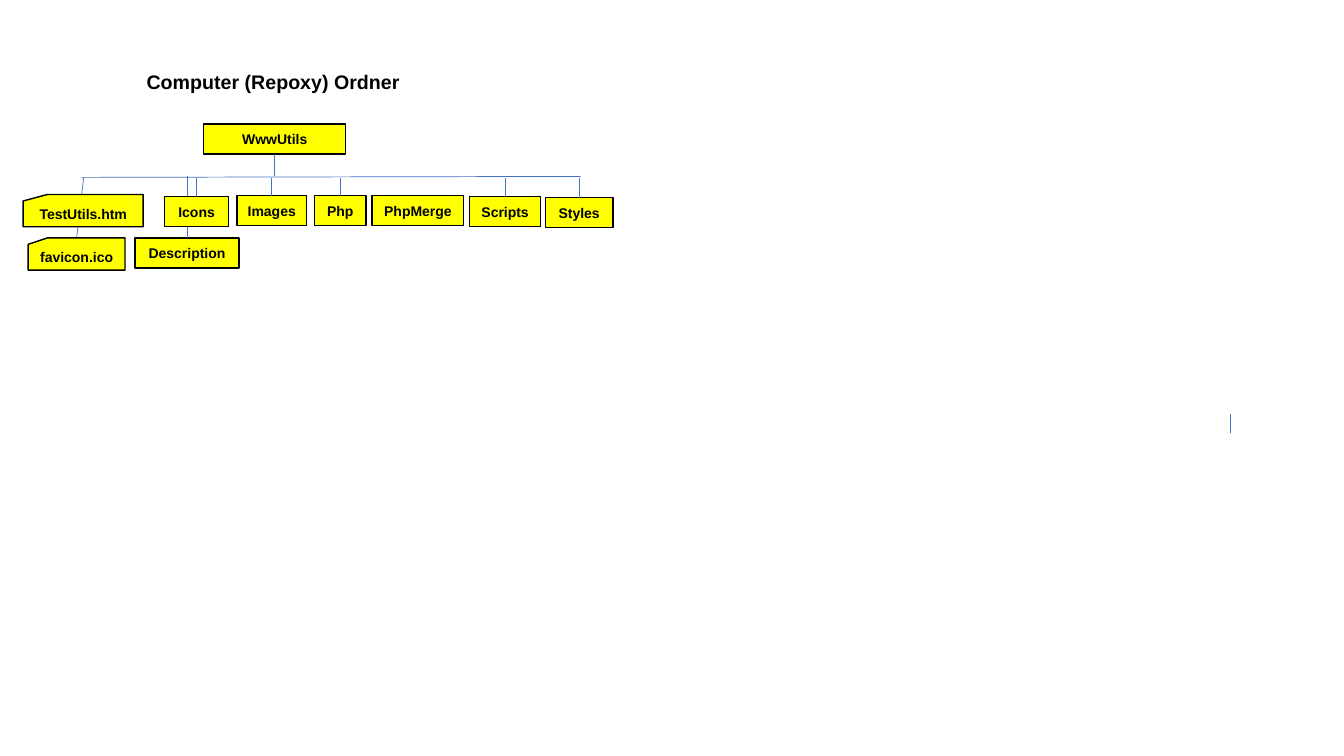
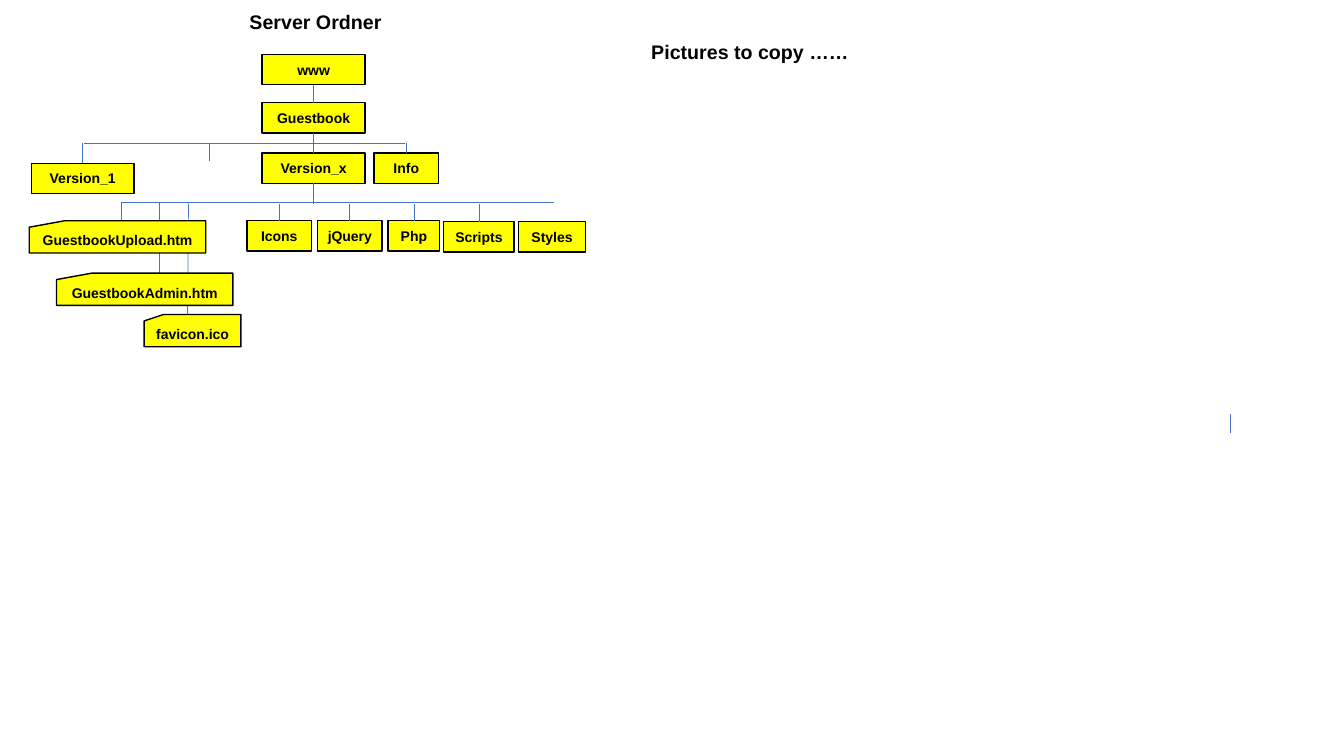
from dataclasses import dataclass

from lxml.etree import SubElement
from pptx import Presentation
from pptx.dml.color import RGBColor
from pptx.enum.shapes import MSO_CONNECTOR as Connector, MSO_SHAPE as Shape
from pptx.enum.text import MSO_ANCHOR as Anchor, MSO_AUTO_SIZE as AutoSize, PP_ALIGN as Align
from pptx.oxml.ns import qn
from pptx.util import Emu, Pt

PX = 9144  # EMU per px, 100 px to the inch
TOP, BOTTOM = 0, 2  # connection sites of a rectangle


@dataclass(frozen=True)
class Theme:
    font: str = "Arial"
    ink: RGBColor = RGBColor(0x00, 0x00, 0x00)
    folder: RGBColor = RGBColor(0xFF, 0xFF, 0x00)
    branch: RGBColor = RGBColor(0x44, 0x72, 0xC4)
    heading_size: Pt = Pt(14)
    label_size: Pt = Pt(10)
    border: Pt = Pt(1)
    branch_width: Pt = Pt(0.5)


def px(*lengths):
    return [Emu(round(length * PX)) for length in lengths]


def apply(target, values):
    for name, value in values.items():
        setattr(target, name, value)


class FolderDeck:
    """Holds the theme and the slide being drawn."""

    def __init__(self, theme):
        self.theme = theme
        self.deck = Presentation()
        self.deck.slide_width, self.deck.slide_height = px(1333, 750)
        self.slide = None

    def new_slide(self, heading, x, y):
        self.slide = self.deck.slides.add_slide(self.deck.slide_layouts[5])
        self.format_heading(self.slide.shapes.title, heading, x, y)
        self.line(1220, 430, 1220, 411)

    def label(self, shape, text, size, frame_format):
        frame = shape.text_frame
        frame.text = text
        apply(frame, frame_format)
        paragraph = frame.paragraphs[0]
        paragraph.alignment = Align.CENTER
        font = paragraph.runs[0].font
        apply(font, {"name": self.theme.font, "size": size, "bold": True})
        font.color.rgb = self.theme.ink

    def format_heading(self, holder, text, x, y):
        apply(holder, dict(zip(("left", "top", "width", "height"), px(x, y, 460, 34))))
        self.label(holder, text, self.theme.heading_size, {
            "word_wrap": True,
            "vertical_anchor": Anchor.TOP,
            "auto_size": AutoSize.SHAPE_TO_FIT_TEXT,
        })

    def subheading(self, text, x, y):
        box = self.slide.shapes.add_textbox(*px(x, y, 460, 34))
        self.format_heading(box, text, x, y)

    def node(self, kind, text, x, y, width, height):
        shape = self.slide.shapes.add_shape(kind, *px(x, y, width, height))
        shape.shadow.inherit = False
        shape.fill.solid()
        shape.fill.fore_color.rgb = self.theme.folder
        shape.line.color.rgb = self.theme.ink
        shape.line.width = self.theme.border
        self.label(shape, text, self.theme.label_size,
                   {"word_wrap": False, "vertical_anchor": Anchor.MIDDLE})
        return shape

    def folder(self, text, x, y, width):
        return self.node(Shape.RECTANGLE, text, x, y, width, 30)

    def file(self, text, x, y, width):
        return self.node(Shape.FLOWCHART_CARD, text, x, y, width, 32)

    def line(self, x1, y1, x2, y2):
        line = self.slide.shapes.add_connector(Connector.STRAIGHT, *px(x1, y1, x2, y2))
        line.line.color.rgb = self.theme.branch
        line.line.width = self.theme.branch_width
        SubElement(line._element.spPr, qn("a:effectLst"))
        return line

    def to_rail(self, folder, site, rail_y):
        """Vertical branch between a folder's side and a rail."""
        middle = (folder.left + folder.width / 2) / PX
        self.line(middle, rail_y, middle, rail_y).begin_connect(folder, site)

    def link(self, parent, child):
        branch = self.line(0, 0, 0, 0)
        branch.begin_connect(parent, BOTTOM)
        branch.end_connect(child, TOP)

    def hang(self, folders, rail_y):
        """Folders given as (text, x, y, width), each hanging from a rail."""
        for values in folders:
            self.to_rail(self.folder(*values), TOP, rail_y)


def computer_slide(deck):
    deck.new_slide("Computer (Repoxy) Ordner", 41, 64)

    # Root and rail
    deck.line(81, 176, 576, 175)
    root = deck.folder("WwwUtils", 202, 123, 141)
    deck.to_rail(root, BOTTOM, 175)

    # Files
    deck.line(76, 236, 83, 176)
    deck.file("TestUtils.htm", 23, 193, 119)
    deck.file("favicon.ico", 28, 236, 96)

    # Folders, with the branch to Description behind Icons
    deck.hang([("Description", 134, 236, 103)], 175)
    deck.hang([
        ("Icons", 163, 195, 64),
        ("Images", 235, 194, 69),
        ("Php", 312, 194, 51),
        ("Scripts", 466, 195, 70),
        ("Styles", 541, 196, 67),
    ], 177)
    deck.folder("PhpMerge", 369, 194, 91)


def server_slide(deck):
    deck.new_slide("Server Ordner", 83, 5)
    deck.subheading("Pictures to copy ……", 514, 35)

    # Trunk
    www, guestbook, version_x = [
        deck.folder(text, 260, y, 102)
        for text, y in (("www", 54), ("Guestbook", 102), ("Version_x", 152))
    ]
    deck.link(www, guestbook)
    deck.link(guestbook, version_x)
    deck.to_rail(version_x, BOTTOM, 202)

    # Versions
    deck.line(83, 142, 402, 142)
    deck.line(208, 160, 208, 142)
    deck.hang([("Version_1", 31, 162, 102), ("Info", 371, 152, 64)], 142)

    # Files, with their branches behind them
    deck.line(120, 201, 549, 201)
    for x1, y1, x2, y2 in ((186, 312, 187, 202), (158, 271, 158, 200), (120, 218, 120, 200)):
        deck.line(x1, y1, x2, y2)
    deck.file("GuestbookUpload.htm", 29, 219, 175)
    deck.file("GuestbookAdmin.htm", 56, 271, 175)
    deck.file("favicon.ico", 143, 312, 96)

    # Folders of Version_x
    deck.hang([
        ("Icons", 245, 219, 64),
        ("jQuery", 315, 219, 64),
        ("Php", 385, 219, 51),
        ("Scripts", 440, 220, 70),
    ], 202)
    deck.folder("Styles", 514, 220, 67)


def main():
    folders = FolderDeck(Theme())
    computer_slide(folders)
    server_slide(folders)
    folders.deck.save("out.pptx")


if __name__ == "__main__":
    main()
